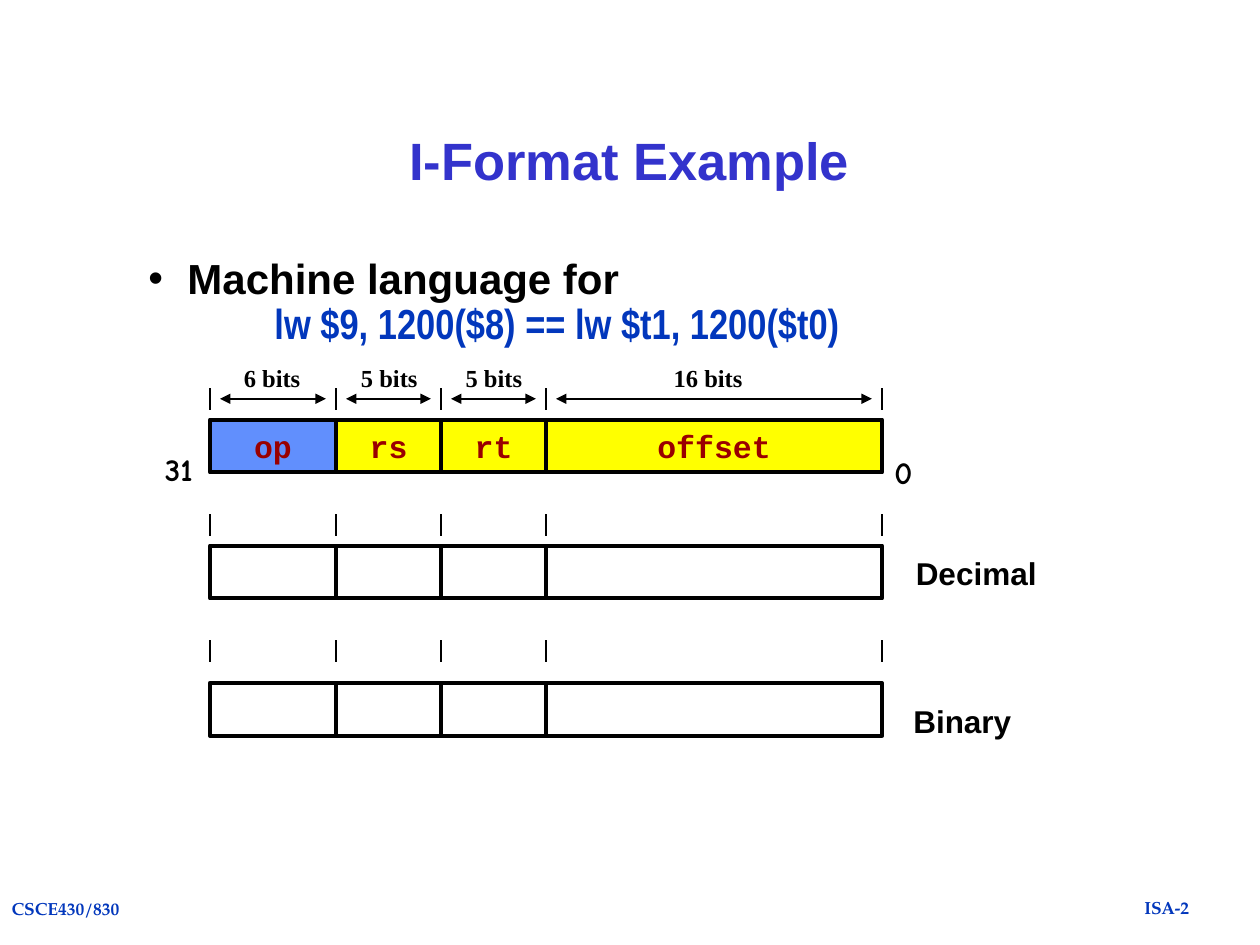
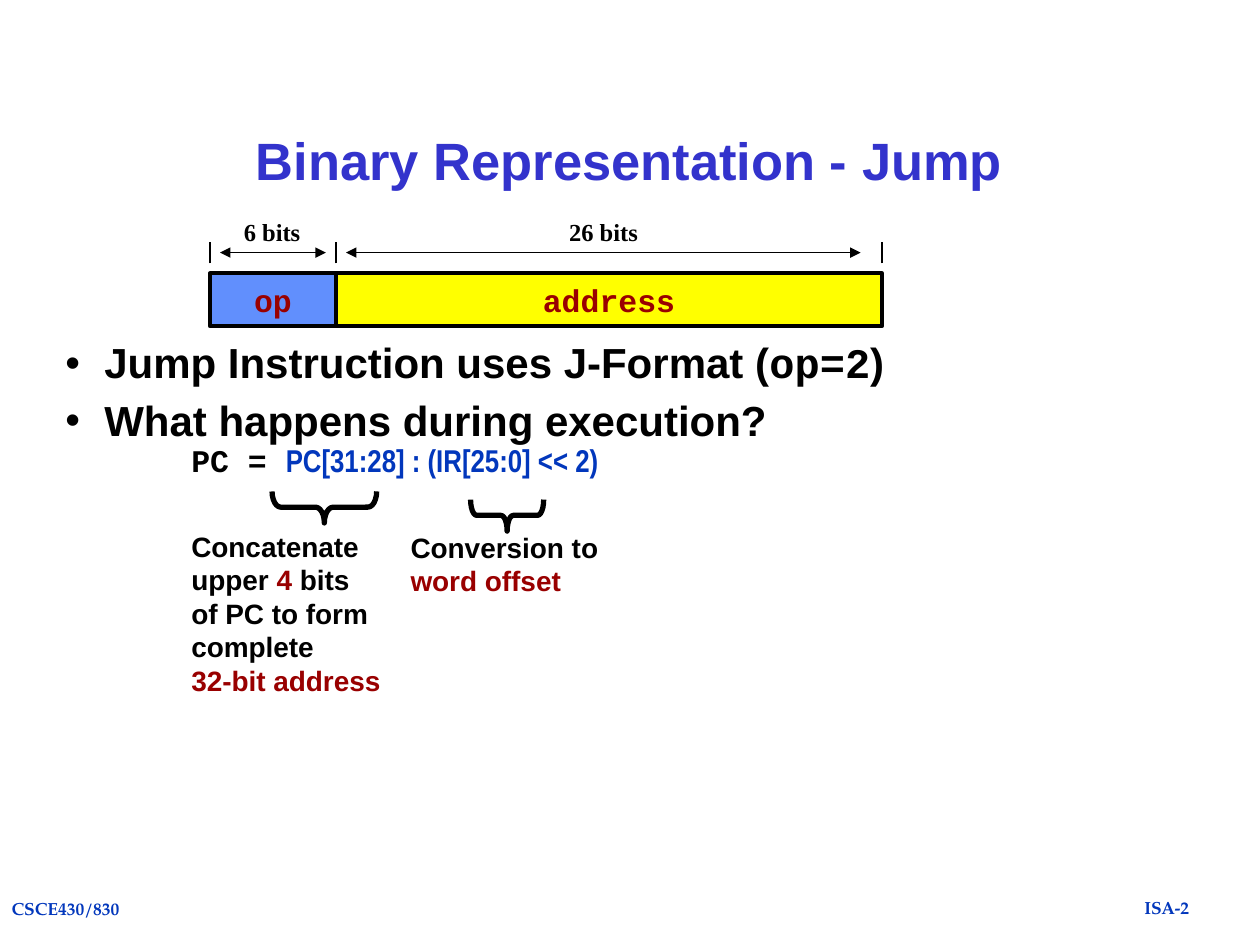
from lxml.etree import SubElement
from pptx import Presentation
from pptx.dml.color import RGBColor as RGB
from pptx.enum.shapes import MSO_CONNECTOR as LINE, MSO_SHAPE as SHAPE
from pptx.enum.text import MSO_ANCHOR as ANCHOR, PP_ALIGN as ALIGN
from pptx.oxml.ns import qn
from pptx.util import Inches, Pt


class Theme:
    black = RGB.from_string("000000")
    white = RGB.from_string("FFFFFF")
    blue = RGB.from_string("0237BC")
    indigo = RGB.from_string("3333CC")
    red = RGB.from_string("990000")
    opcode = RGB.from_string("618FFD")
    operand = RGB.from_string("FFFF00")
    # Type styles: size, font, colour
    type = {
        "title": (30, "Arial", indigo),
        "footer": (10, "TeX Gyre Pagella", blue),
        "bullet": (24, "Arial", black),
        "bullet code": (24, "Courier New", black),
        "assembly": (24, "Arial Narrow", blue),
        "pc": (18, "Courier New", black),
        "formula": (18, "Arial Narrow", blue),
        "field": (18, "Courier New", red),
        "bits": (14, "Times New Roman", black),
        "row": (18, "Arial", black),
        "bit number": (18, "Comic Neue", black),
        "note": (16, "Arial", black),
        "note key": (16, "Arial", red),
    }


def write(shape, paragraphs, wrap=False, anchor=ANCHOR.TOP, bullets=False, **layout):
    """Fill a shape with paragraphs, each a list of (text, type style) runs."""
    frame = shape.text_frame
    frame.word_wrap = wrap
    frame.vertical_anchor = anchor
    for index, runs in enumerate(paragraphs):
        paragraph = frame.add_paragraph() if index else frame.paragraphs[0]
        if bullets:
            props = paragraph._p.get_or_add_pPr()
            props.set("marL", str(Inches(0.31)))
            props.set("indent", str(Inches(-0.31)))
            color = SubElement(props, qn("a:buClr"))
            SubElement(color, qn("a:srgbClr"), val=str(Theme.black))
            SubElement(props, qn("a:buFont"), typeface="Arial")
            SubElement(props, qn("a:buChar"), char="•")
            tabs = SubElement(props, qn("a:tabLst"))
            SubElement(tabs, qn("a:tab"), pos=str(Inches(1)), algn="l")
            paragraph.space_before = Pt(7 if index else 0)
        for attribute, value in layout.items():
            setattr(paragraph, attribute, value)
        for text, style in runs:
            if text == "\n":
                paragraph.add_line_break()
                continue
            run = paragraph.add_run()
            run.text = text
            size, name, color = Theme.type[style]
            for attribute, value in dict(size=Pt(size), name=name, bold=True).items():
                setattr(run.font, attribute, value)
            run.font.color.rgb = color


def draw_line(slide, x1, y1, x2, y2, arrows=False):
    """Draw a thin black line, optionally with an arrowhead at each end."""
    line = slide.shapes.add_connector(LINE.STRAIGHT, *map(Inches, (x1, y1, x2, y2)))
    line.line.color.rgb = Theme.black
    line.line.width = Pt(1)
    if arrows:
        for end in ("a:headEnd", "a:tailEnd"):
            SubElement(line.line._get_or_add_ln(), qn(end), type="triangle")
    SubElement(line._element.spPr, qn("a:effectLst"))


deck = Presentation()
deck.slide_width, deck.slide_height = Inches(10), Inches(7.5)

# Slides with their title and bulleted text
pages = [
    ("I-Format Example", (1.08, 2, 7.83, 4.5), [
        [("Machine language for", "bullet"), ("\n", None),
         ("\tlw $9, 1200($8) == lw $t1, 1200($t0)", "assembly")],
    ]),
    ("Binary Representation - Jump", (0.42, 2.67, 8.83, 4.17), [
        [("Jump Instruction uses J-Format (", "bullet"), ("op=2", "bullet code"),
         (")", "bullet")],
        [("What happens during execution?", "bullet"), ("\n", None),
         ("\tPC = ", "pc"), ("PC[31:28] : (IR[25:0] << 2)", "formula")],
    ]),
]
for heading, body_box, bullets in pages:
    slide = deck.slides.add_slide(deck.slide_layouts[5])
    title = slide.shapes.title
    title_box = dict(left=1.08, top=0.67, width=7.83, height=1.25)
    for attribute, value in title_box.items():
        setattr(title, attribute, Inches(value))
    write(title, [[(heading, "title")]], wrap=True, anchor=ANCHOR.MIDDLE,
          alignment=ALIGN.CENTER, line_spacing=0.9)
    body = slide.shapes.add_textbox(*map(Inches, body_box))
    write(body, bullets, wrap=True, bullets=True, line_spacing=0.9)
i_format, jump = deck.slides

# Instruction rows: every bit is a sixth of an inch wide
bit = 1 / 6
row_left, row_height = 10 * bit, 0.42
arrow_gap, tick_height = 0.08, 0.17
count_width = 1
# Fields: bits, name, centre of the bit count, end of the arrow before the edge
i_fields = [(6, "op", 2.16, 0.08), (5, "rs", 3.09, 0.08),
            (5, "rt", 3.92, 0.08), (16, "offset", 5.62, 0.08)]
j_fields = [(6, "op", 2.16, 0.08), (26, "address", 4.79, 0.17)]
blank_fields = [(bits, "", None, None) for bits, *_ in i_fields]
rows = [  # slide, top of the boxes, top of the ticks, fields
    (i_format, 3.33, 3.08, i_fields),
    (i_format, 4.33, 4.08, blank_fields),
    (i_format, 5.42, 5.08, blank_fields),
    (jump, 2.17, 1.92, j_fields),
]
for slide, top, tick_top, fields in rows:
    tick_bottom = tick_top + tick_height
    left = row_left
    draw_line(slide, left, tick_bottom, left, tick_top)
    for bits, name, count_center, end_gap in fields:
        right = left + bits * bit
        field = slide.shapes.add_shape(
            SHAPE.RECTANGLE, *map(Inches, (left, top, right - left, row_height)))
        field.shadow.inherit = False
        field.fill.solid()
        field.fill.fore_color.rgb = (Theme.white if not name else
                                     Theme.opcode if name == "op" else Theme.operand)
        field.line.color.rgb = Theme.black
        field.line.width = Pt(2.25)
        draw_line(slide, right, tick_bottom, right, tick_top)
        if name:
            write(field, [[(name, "field")]], anchor=ANCHOR.MIDDLE,
                  alignment=ALIGN.CENTER)
            middle = tick_top + tick_height / 2
            draw_line(slide, left + arrow_gap, middle, right - end_gap, middle, arrows=True)
            count_left = count_center - count_width / 2
            count = slide.shapes.add_textbox(
                *map(Inches, (count_left, top - 0.5, count_width, 0.34)))
            write(count, [[(f"{bits} bits", "bits")]], alignment=ALIGN.CENTER)
        left = right

# Footers, row names, bit numbers and notes
footers = [("ISA-2", (8.98, 7.07, 0.56, 0.26)), ("CSCE430/830", (-0.01, 7.08, 1.06, 0.26))]
labels = [(slide, box, [[(text, "footer")]], False, ALIGN.CENTER)
          for slide in deck.slides for text, box in footers]
labels += [
    (i_format, (7.17, 4.35, 1.16, 0.4), [[("Decimal", "row")]], False, ALIGN.LEFT),
    (i_format, (7.15, 5.52, 0.98, 0.4), [[("Binary", "row")]], False, ALIGN.LEFT),
    (i_format, (1.21, 3.52, 0.42, 0.4), [[("31", "bit number")]], False, ALIGN.CENTER),
    (i_format, (7, 3.55, 0.34, 0.4), [[("0", "bit number")]], False, ALIGN.CENTER),
    (jump, (1.42, 4.15, 1.83, 1.44), [
        [("Concatenate upper ", "note"), ("4", "note key"), (" bits", "note")],
        [("of PC to form complete", "note")],
        [("32-bit address", "note key")],
    ], True, ALIGN.LEFT),
    (jump, (3.16, 4.16, 1.75, 0.64), [
        [("Conversion to", "note")], [("word offset", "note key")],
    ], False, ALIGN.LEFT),
]
for slide, box, paragraphs, wrap, alignment in labels:
    label = slide.shapes.add_textbox(*map(Inches, box))
    write(label, paragraphs, wrap=wrap, alignment=alignment)

# Braces under the two parts of the formula, turned to point down
brace_depth = 0.25
for left, top, span in [(2.45, 3.61, 0.83), (3.9, 3.8, 0.58)]:
    brace = jump.shapes.add_shape(
        SHAPE.LEFT_BRACE, *map(Inches, (left, top, brace_depth, span)))
    brace.rotation = 270
    brace.adjustments[0] = span / 12 / brace_depth
    brace.shadow.inherit = False
    brace.fill.background()
    brace.line.color.rgb = Theme.black
    brace.line.width = Pt(3)

deck.save("out.pptx")
